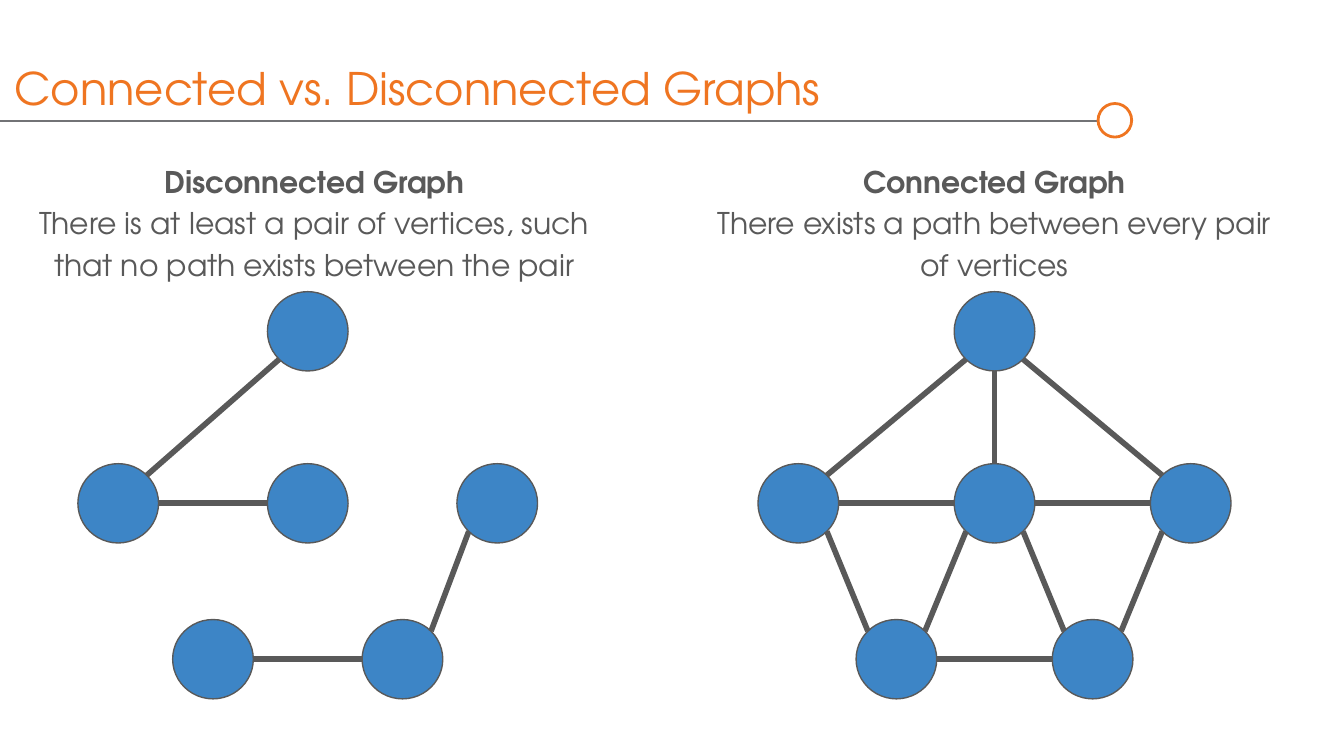
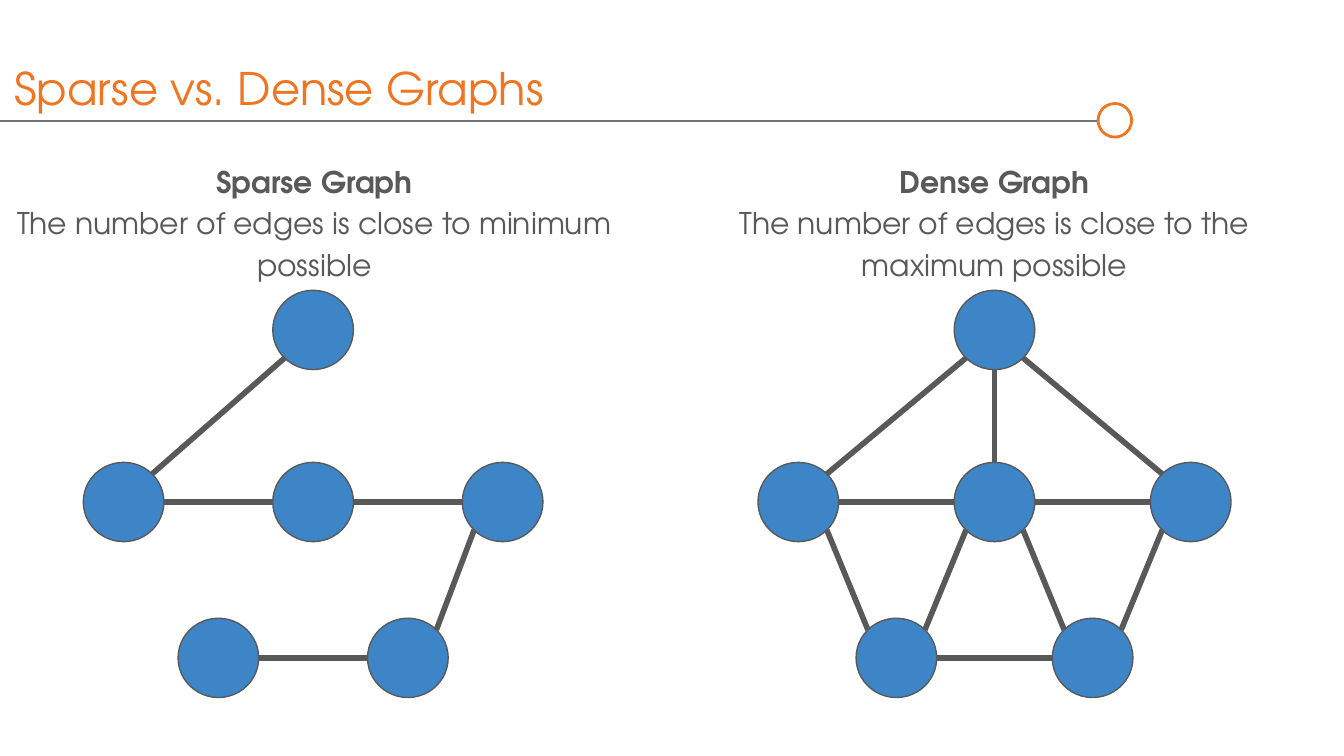
import math

import pptx
import pptx.dml.color
import pptx.enum.shapes
import pptx.enum.text
import pptx.oxml.ns
import pptx.util
from lxml import etree

Inches = pptx.util.Inches
Pt = pptx.util.Pt
RGBColor = pptx.dml.color.RGBColor

ORANGE = RGBColor(0xEF, 0x75, 0x21)
RULE_GRAY = RGBColor(0x72, 0x73, 0x76)
DARK_GRAY = RGBColor(0x59, 0x59, 0x59)
BLUE = RGBColor(0x3D, 0x85, 0xC6)
FONT = "TeX Gyre Adventor"

VERTEX_WIDTH, VERTEX_HEIGHT = 0.6, 0.59

# Vertices as (columns from the centre, inches below the top row)
VERTICES = {
    "top": (0, 0),
    "left": (-1, 1.28),
    "middle": (0, 1.28),
    "right": (1, 1.28),
    "bottom left": (-0.5, 2.44),
    "bottom right": (0.5, 2.44),
}
DISCONNECTED_EDGES = [
    ("top", "left"),
    ("left", "middle"),
    ("right", "bottom right"),
    ("bottom right", "bottom left"),
]
SPARSE_EDGES = DISCONNECTED_EDGES + [("middle", "right")]
DENSE_EDGES = SPARSE_EDGES + [
    ("top", "right"),
    ("top", "middle"),
    ("left", "bottom left"),
    ("middle", "bottom left"),
    ("middle", "bottom right"),
]


def boundary_point(center, other):
    """Point on a vertex, straight or at 45 degrees, that faces another vertex."""
    directions = [(b > a) - (b < a) for a, b in zip(center, other)]
    scale = math.sqrt(0.5) if all(directions) else 1
    return (center[0] + directions[0] * scale * VERTEX_WIDTH / 2,
            center[1] + directions[1] * scale * VERTEX_HEIGHT / 2)


class Deck:
    def __init__(self):
        self.presentation = pptx.Presentation()
        self.presentation.slide_width = Inches(10)
        self.presentation.slide_height = Inches(10 * 9 / 16)
        self.slide = None

    def add_slide(self, title):
        self.slide = self.presentation.slides.add_slide(
            self.presentation.slide_layouts[6])
        # Title rule with its ring
        self.line((0, 0.9), (8.17, 0.9), RULE_GRAY, 1.5)
        self.ellipse(8.17, 0.77, 0.25, 0.25, None, ORANGE, 1.5)
        frame = self.text_box(0.01, 0.05, 8.07, 0.85, 0.05)
        frame.vertical_anchor = pptx.enum.text.MSO_ANCHOR.BOTTOM
        self.run(frame.paragraphs[0], title, 24, ORANGE)

    def line(self, start, end, color, width):
        connector = self.slide.shapes.add_connector(
            pptx.enum.shapes.MSO_CONNECTOR.STRAIGHT,
            *[Inches(value) for value in (*start, *end)])
        connector.line.color.rgb = color
        connector.line.width = Pt(width)
        etree.SubElement(connector._element.spPr,
                         pptx.oxml.ns.qn("a:effectLst"))

    def ellipse(self, left, top, width, height, fill, line, line_width):
        shape = self.slide.shapes.add_shape(
            pptx.enum.shapes.MSO_SHAPE.OVAL,
            Inches(left), Inches(top), Inches(width), Inches(height))
        shape.shadow.inherit = False
        if fill is None:
            shape.fill.background()
        else:
            shape.fill.solid()
            shape.fill.fore_color.rgb = fill
        shape.line.color.rgb = line
        shape.line.width = Pt(line_width)

    def text_box(self, left, top, width, height, vertical_margin):
        frame = self.slide.shapes.add_textbox(
            Inches(left), Inches(top), Inches(width), Inches(height)).text_frame
        frame.word_wrap = True
        frame.margin_left = frame.margin_right = Inches(0.1)
        frame.margin_top = frame.margin_bottom = Inches(vertical_margin)
        return frame

    def run(self, paragraph, text, size, color, bold=False):
        run = paragraph.add_run()
        run.text = text
        run.font.name = FONT
        run.font.size = Pt(size)
        run.font.bold = bold
        run.font.color.rgb = color

    def definition(self, left, width, term, meaning):
        frame = self.text_box(left, 1.08, width, 0.43, 0.1)
        for paragraph, text, bold in (
                (frame.paragraphs[0], term, True),
                (frame.add_paragraph(), meaning, False)):
            paragraph.alignment = pptx.enum.text.PP_ALIGN.CENTER
            paragraph.line_spacing = 1.15
            self.run(paragraph, text, 16, DARK_GRAY, bold)

    def graph(self, center_x, top, column_step, edges):
        centers = {
            name: (center_x + column * column_step,
                   top + drop + VERTEX_HEIGHT / 2)
            for name, (column, drop) in VERTICES.items()}
        for x, y in centers.values():
            self.ellipse(x - VERTEX_WIDTH / 2, y - VERTEX_HEIGHT / 2,
                         VERTEX_WIDTH, VERTEX_HEIGHT, BLUE, DARK_GRAY, 0.75)
        for first, second in edges:
            start, end = centers[first], centers[second]
            self.line(boundary_point(start, end), boundary_point(end, start),
                      DARK_GRAY, 3)

    def comparison(self, title, left_text, right_text, left_center, top,
                   left_edges):
        self.add_slide(title)
        self.definition(0.01, 4.66, *left_text)
        self.definition(5.11, 4.58, *right_text)
        self.graph(left_center, top, 1.41, left_edges)
        self.graph(7.4, top, 1.46, DENSE_EDGES)


def main():
    deck = Deck()
    # Connectivity
    deck.comparison(
        "Connected vs. Disconnected Graphs",
        ("Disconnected Graph",
         "There is at least a pair of vertices, such that no path exists "
         "between the pair"),
        ("Connected Graph",
         "There exists a path between every pair of vertices"),
        2.29, 2.17, DISCONNECTED_EDGES)
    # Density
    deck.comparison(
        "Sparse vs. Dense Graphs",
        ("Sparse Graph", "The number of edges is close to minimum possible"),
        ("Dense Graph",
         "The number of edges is close to the maximum possible"),
        2.33, 2.16, SPARSE_EDGES)
    deck.presentation.save("out.pptx")


if __name__ == "__main__":
    main()
